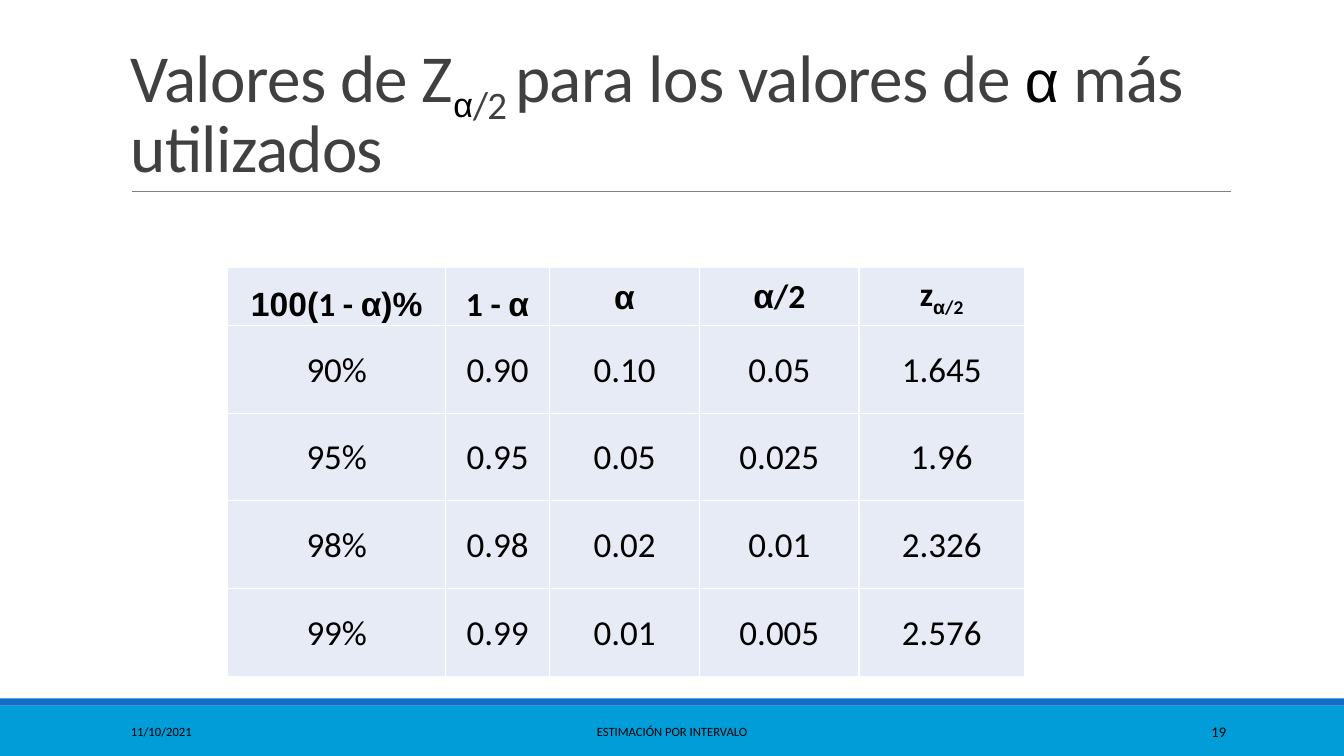
from lxml.etree import SubElement
from pptx import Presentation
from pptx.dml.color import RGBColor
from pptx.enum.shapes import MSO_CONNECTOR, MSO_SHAPE
from pptx.enum.text import MSO_ANCHOR, PP_ALIGN
from pptx.oxml.ns import qn
from pptx.util import Inches, Pt

BODY, GREEK = "Calibri", "Arial"
BLACK, TITLE_GRAY, RULE_GRAY = "000000", "404040", "808080"
WHITE, CELL_BLUE, FOOTER_BLUE, STRIPE_BLUE = "FFFFFF", "E7EBF5", "009DD9", "0F6FC6"
SUBSCRIPT = -25000

HEADERS = [
    [("100(", GREEK), ("1 - ", BODY), ("α)%", GREEK)],
    [("1 - ", BODY), ("α", GREEK)],
    [("α", GREEK)],
    [("α", GREEK), ("/2", BODY)],
    [("z", BODY), ("α", GREEK, SUBSCRIPT), ("/2", BODY, SUBSCRIPT)],
]
VALUES = [
    ["90%", "0.90", "0.10", "0.05", "1.645"],
    ["95%", "0.95", "0.05", "0.025", "1.96"],
    ["98%", "0.98", "0.02", "0.01", "2.326"],
    ["99%", "0.99", "0.01", "0.005", "2.576"],
]
COLUMN_WIDTHS = [2.16, 1.03, 1.49, 1.58, 1.64]
HEADER_HEIGHT, ROW_HEIGHT = 0.58, 0.87


def color(value):
    return RGBColor.from_string(value)


class SlideBuilder:
    def __init__(self, slide):
        self.slide = slide

    def bar(self, top, height, fill):
        shape = self.slide.shapes.add_shape(
            MSO_SHAPE.RECTANGLE, 0, Inches(top), Inches(13.33), Inches(height))
        shape.shadow.inherit = False
        shape.fill.solid()
        shape.fill.fore_color.rgb = color(fill)
        shape.line.fill.background()

    def rule(self, left, right, top):
        line = self.slide.shapes.add_connector(
            MSO_CONNECTOR.STRAIGHT, Inches(left), Inches(top), Inches(right), Inches(top))
        line.line.color.rgb = color(RULE_GRAY)
        line.line.width = Pt(0.5)
        SubElement(line._element.spPr, qn("a:effectLst"))

    def run(self, paragraph, text, font, size, fill=BLACK, baseline=0, bold=False, spacing=0):
        """Add a run; baseline is in thousandths of a percent, spacing in hundredths of a point."""
        run = paragraph.add_run()
        run.text = text
        run.font.name = font
        run.font.size = Pt(size)
        run.font.bold = bold
        run.font.color.rgb = color(fill)
        properties = run.font._element
        if baseline:
            properties.set("baseline", str(baseline))
        if spacing:
            properties.set("spc", str(spacing))

    def text_box(self, left, top, width, height, anchor, align=PP_ALIGN.LEFT):
        """Add an empty text box and return its first paragraph."""
        box = self.slide.shapes.add_textbox(
            Inches(left), Inches(top), Inches(width), Inches(height))
        frame = box.text_frame
        frame.word_wrap = True
        frame.vertical_anchor = anchor
        paragraph = frame.paragraphs[0]
        paragraph.alignment = align
        return paragraph

    def title(self, runs):
        paragraph = self.text_box(1.2, 0.31, 11, 1.59, MSO_ANCHOR.BOTTOM)
        paragraph.line_spacing = 0.85
        for text, font, baseline in runs:
            size, fill = (42, BLACK) if font == GREEK else (48, TITLE_GRAY)
            self.run(paragraph, text, font, size, fill, baseline, spacing=-50)

    def footer(self, text, left, width, align, size=9):
        paragraph = self.text_box(left, 7.06, width, 0.4, MSO_ANCHOR.MIDDLE, align)
        self.run(paragraph, text, BODY, size)

    def cell(self, cell, runs, size, bold, anchor):
        cell.margin_left = cell.margin_right = cell.margin_top = Inches(0.02)
        cell.margin_bottom = 0
        cell.vertical_anchor = anchor
        properties = cell._tc.get_or_add_tcPr()
        for side in ("lnL", "lnR", "lnT", "lnB"):
            border = SubElement(properties, qn(f"a:{side}"), w=str(Pt(1)))
            fill = SubElement(border, qn("a:solidFill"))
            SubElement(fill, qn("a:srgbClr"), val=WHITE)
        cell.fill.solid()
        cell.fill.fore_color.rgb = color(CELL_BLUE)
        paragraph = cell.text_frame.paragraphs[0]
        paragraph.alignment = PP_ALIGN.CENTER
        for text, font, *baseline in runs:
            self.run(paragraph, text, font, size, BLACK, *baseline, bold=bold)

    def table(self, left, top):
        heights = [HEADER_HEIGHT] + [ROW_HEIGHT] * len(VALUES)
        table = self.slide.shapes.add_table(
            len(heights), len(COLUMN_WIDTHS), Inches(left), Inches(top),
            Inches(sum(COLUMN_WIDTHS)), Inches(sum(heights))).table
        table.first_row = table.horz_banding = False
        for column, width in zip(table.columns, COLUMN_WIDTHS):
            column.width = Inches(width)
        for row, height in zip(table.rows, heights):
            row.height = Inches(height)
        for index, runs in enumerate(HEADERS):
            anchor = MSO_ANCHOR.BOTTOM if index < 2 else MSO_ANCHOR.MIDDLE
            self.cell(table.cell(0, index), runs, 24, True, anchor)
        for row_index, values in enumerate(VALUES, start=1):
            for index, value in enumerate(values):
                self.cell(table.cell(row_index, index), [(value, BODY)], 25, False,
                          MSO_ANCHOR.MIDDLE)


def main():
    presentation = Presentation()
    presentation.slide_width = Inches(13.33)
    presentation.slide_height = Inches(7.5)
    builder = SlideBuilder(presentation.slides.add_slide(presentation.slide_layouts[6]))

    builder.bar(7, 0.5, FOOTER_BLUE)
    builder.bar(6.93, 0.07, STRIPE_BLUE)
    builder.rule(1.31, 12.21, 1.9)
    builder.title([
        ("Valores de Z", BODY, 0),
        ("α", GREEK, SUBSCRIPT),
        ("/2 ", BODY, SUBSCRIPT),
        ("para los valores de ", BODY, 0),
        ("α", GREEK, 0),
        (" más utilizados", BODY, 0),
    ])
    builder.footer("11/10/2021", 1.2, 2.7, PP_ALIGN.LEFT)
    builder.footer("ESTIMACIÓN POR INTERVALO", 4.03, 5.27, PP_ALIGN.CENTER)
    builder.footer("19", 10.83, 1.43, PP_ALIGN.RIGHT, 10.5)
    builder.table(2.26, 2.65)
    presentation.save("out.pptx")


if __name__ == "__main__":
    main()
